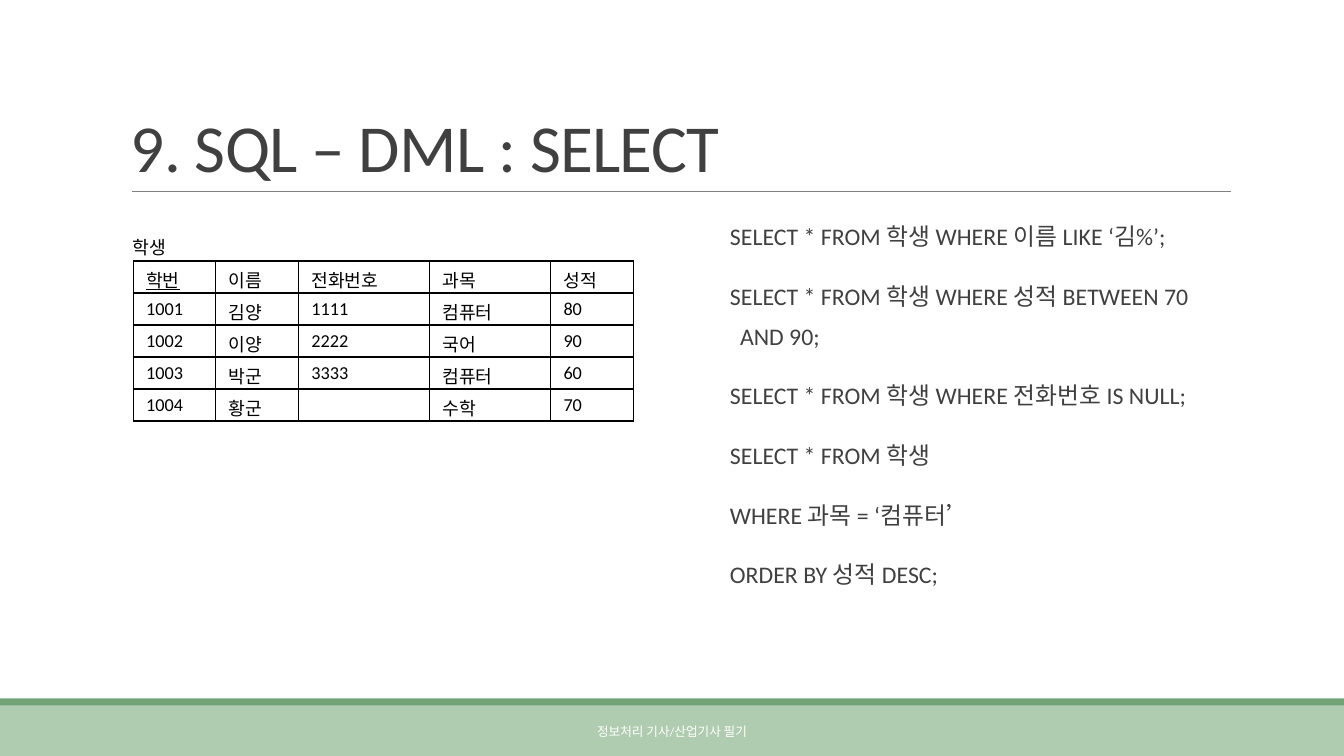
import dataclasses

import lxml.etree
import pptx
import pptx.dml.color
import pptx.enum.shapes
import pptx.enum.text
import pptx.oxml.ns
import pptx.util

Inches = pptx.util.Inches
Pt = pptx.util.Pt
RGB = pptx.dml.color.RGBColor.from_string
Align = pptx.enum.text.PP_ALIGN
Anchor = pptx.enum.text.MSO_ANCHOR
qn = pptx.oxml.ns.qn


@dataclasses.dataclass(frozen=True)
class Theme:
    font: str = "Calibri"
    paper: str = "FFFFFF"
    ink: str = "000000"
    text: str = "404040"
    rule: str = "808080"
    band: str = "B0CCB0"
    edge: str = "72A376"
    title: int = 48
    body: int = 17
    cell: int = 13
    foot: int = 9


theme = Theme()


def style(para, size, color):
    for run in para.runs:
        run.font.name = theme.font
        run.font.size = Pt(size)
        run.font.color.rgb = RGB(color)


def add_text(box, lines, size, color, anchor=Anchor.TOP, wrap=True):
    """Add a text box with one paragraph per line and return its frame."""
    frame = slide.shapes.add_textbox(*map(Inches, box)).text_frame
    frame.word_wrap = wrap
    frame.vertical_anchor = anchor
    frame.text = "\n".join(lines)
    for para in frame.paragraphs:
        style(para, size, color)
    return frame


deck = pptx.Presentation()
deck.slide_width = Inches(13.33)
deck.slide_height = Inches(7.5)
slide = deck.slides.add_slide(deck.slide_layouts[6])

# Footer bands and title rule
for top, height, color in [(7, 0.5, theme.band), (6.93, 0.07, theme.edge)]:
    bar = slide.shapes.add_shape(
        pptx.enum.shapes.MSO_SHAPE.RECTANGLE,
        0, Inches(top), deck.slide_width, Inches(height))
    bar.shadow.inherit = False
    bar.fill.solid()
    bar.fill.fore_color.rgb = RGB(color)
    bar.line.fill.background()

rule = slide.shapes.add_connector(
    pptx.enum.shapes.MSO_CONNECTOR.STRAIGHT,
    Inches(1.31), Inches(1.9), Inches(12.21), Inches(1.9))
rule.line.color.rgb = RGB(theme.rule)
rule.line.width = Pt(0.5)
lxml.etree.SubElement(rule._element.spPr, qn("a:effectLst"))

# Title
title = add_text((1.2, 0.31, 11, 1.59), ["9. SQL – DML : SELECT"],
                 theme.title, theme.text, Anchor.BOTTOM).paragraphs[0]
title.line_spacing = 0.85
title.runs[0].font._element.set("spc", "-50")

# Queries
queries = [
    "SELECT * FROM 학생 WHERE 이름 LIKE ‘김%’;",
    "SELECT * FROM 학생 WHERE 성적 BETWEEN 70 AND 90;",
    "SELECT * FROM 학생 WHERE 전화번호 IS NULL;",
    "SELECT * FROM 학생",
    "WHERE 과목 = ‘컴퓨터’",
    "ORDER BY 성적 DESC;",
]
body = add_text((7.24, 2.04, 5, 4.26), queries, theme.body, theme.text)
body.margin_left = body.margin_right = 0
for para in body.paragraphs:
    para.line_spacing = 1.4
    para.space_before = Pt(12)
    para.space_after = Pt(2)
    props = para._p.get_or_add_pPr()
    props.set("marL", str(Inches(0.1)))
    props.set("indent", str(-Inches(0.1)))

# Student table
rows = [
    ["학번", "이름", "전화번호", "과목", "성적"],
    ["1001", "김양", "1111", "컴퓨터", "80"],
    ["1002", "이양", "2222", "국어", "90"],
    ["1003", "박군", "3333", "컴퓨터", "60"],
    ["1004", "황군", "", "수학", "70"],
]
widths = [0.82, 0.82, 1.3, 1.2, 0.82]
table = slide.shapes.add_table(
    len(rows), len(widths), Inches(1.32), Inches(2.59),
    Inches(4.94), Inches(1.58)).table
table.first_row = False
table.horz_banding = False
for col, width in zip(table.columns, widths):
    col.width = Inches(width)

for r, row in enumerate(rows):
    table.rows[r].height = Inches(0.31)
    for c, word in enumerate(row):
        cell = table.cell(r, c)
        cell.margin_left = cell.margin_right = Inches(0.13)
        para = cell.text_frame.paragraphs[0]
        if word:
            para.text = word
            style(para, theme.cell, theme.ink)
        else:
            end = lxml.etree.SubElement(para._p, qn("a:endParaRPr"))
            end.set("sz", str(theme.cell * 100))
        props = cell._tc.get_or_add_tcPr()
        for side in ("a:lnL", "a:lnR", "a:lnT", "a:lnB"):
            line = lxml.etree.SubElement(props, qn(side), w=str(Pt(1)))
            fill = lxml.etree.SubElement(line, qn("a:solidFill"))
            lxml.etree.SubElement(fill, qn("a:srgbClr"), val=theme.ink)
        cell.fill.solid()
        cell.fill.fore_color.rgb = RGB(theme.paper)
table.cell(0, 0).text_frame.paragraphs[0].runs[0].font.underline = True

# Table name and footer
name = add_text((1.22, 2.29, 0.57, 0.32), ["학생"],
                theme.cell, theme.ink, wrap=False)
name.auto_size = pptx.enum.text.MSO_AUTO_SIZE.SHAPE_TO_FIT_TEXT
foot = add_text((4.03, 7.06, 5.27, 0.4), ["정보처리 기사/산업기사 필기"],
                theme.foot, theme.paper, Anchor.MIDDLE)
foot.paragraphs[0].alignment = Align.CENTER

deck.save("out.pptx")
